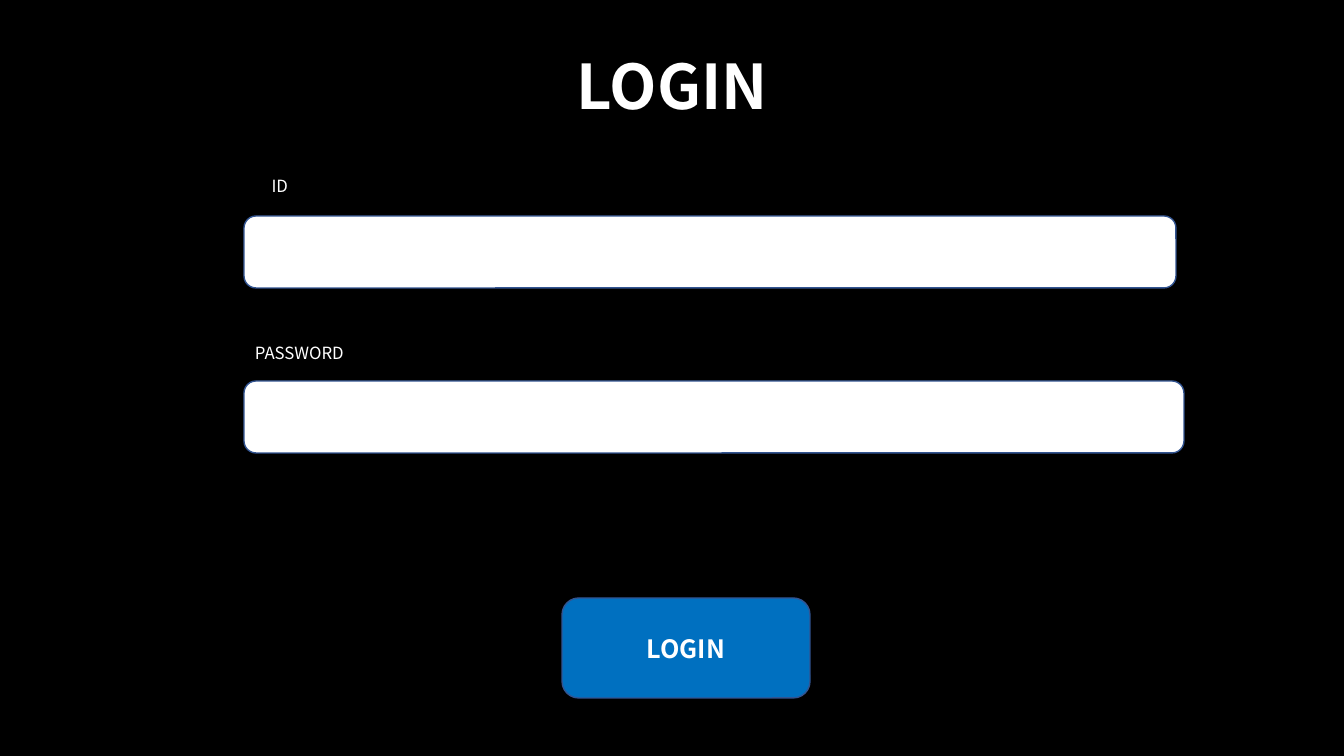
from pptx import Presentation
from pptx.dml.color import RGBColor
from pptx.enum.shapes import MSO_SHAPE
from pptx.enum.text import MSO_ANCHOR, PP_ALIGN
from pptx.util import Pt

COLORS = {"black": "000000", "white": "FFFFFF", "button": "0070C0", "outline": "325491"}
FONT = "Noto Sans CJK KR"
EMU_PER_PIXEL = 914400 / 100.8


def pixels(*lengths):
    """Turn pixel lengths into EMU."""
    return [round(length * EMU_PER_PIXEL) for length in lengths]


def color(name):
    """Look up a named colour."""
    return RGBColor.from_string(COLORS[name])


def write_text(shape, text, size=12, bold=False, align=PP_ALIGN.LEFT, spacing=None):
    """Put one formatted line of white text in a shape, centred vertically."""
    frame = shape.text_frame
    frame.word_wrap = True
    frame.vertical_anchor = MSO_ANCHOR.MIDDLE
    paragraph = frame.paragraphs[0]
    paragraph.alignment = align
    if spacing:
        paragraph.line_spacing = spacing
    run = paragraph.add_run()
    run.text = text
    run.font.name = FONT
    run.font.size = Pt(size)
    run.font.bold = bold
    run.font.color.rgb = color("white")


class LoginSlide:
    """Holds the current slide and draws the parts of the login form."""

    def __init__(self, presentation):
        """Add a blank slide with a black background."""
        self.slide = presentation.slides.add_slide(presentation.slide_layouts[6])
        background = self.slide.background.fill
        background.solid()
        background.fore_color.rgb = color("black")

    def rounded_box(self, box, fill, line=None):
        """Draw a rounded rectangle with an optional outline."""
        shape = self.slide.shapes.add_shape(MSO_SHAPE.ROUNDED_RECTANGLE, *pixels(*box))
        shape.shadow.inherit = False
        shape.fill.solid()
        shape.fill.fore_color.rgb = color(fill)
        if line:
            shape.line.color.rgb = color(line)
            shape.line.width = Pt(1)
        else:
            shape.line.fill.background()
        return shape

    def title(self, text, box):
        """Draw the heading."""
        shape = self.slide.shapes.add_textbox(*pixels(*box))
        write_text(shape, text, size=44, bold=True, align=PP_ALIGN.CENTER, spacing=0.9)

    def field(self, box):
        """Draw an empty input field."""
        self.rounded_box(box, "white", "outline")

    def button(self, text, box):
        """Draw a button with a centred caption."""
        shape = self.rounded_box(box, "button", "outline")
        write_text(shape, text, size=18, bold=True, align=PP_ALIGN.CENTER)

    def label(self, text, box):
        """Draw the label of an input field."""
        write_text(self.rounded_box(box, "black"), text)


presentation = Presentation()
presentation.slide_width, presentation.slide_height = pixels(1344, 756)

login = LoginSlide(presentation)
login.title("LOGIN", (93, 40, 1159, 100))
login.field((244, 216, 932, 72))
login.field((244, 381, 940, 72))
login.button("LOGIN", (562, 598, 248, 100))
login.label("ID", (260, 169, 140, 34))
login.label("PASSWORD", (244, 342, 135, 21))

presentation.save("out.pptx")
